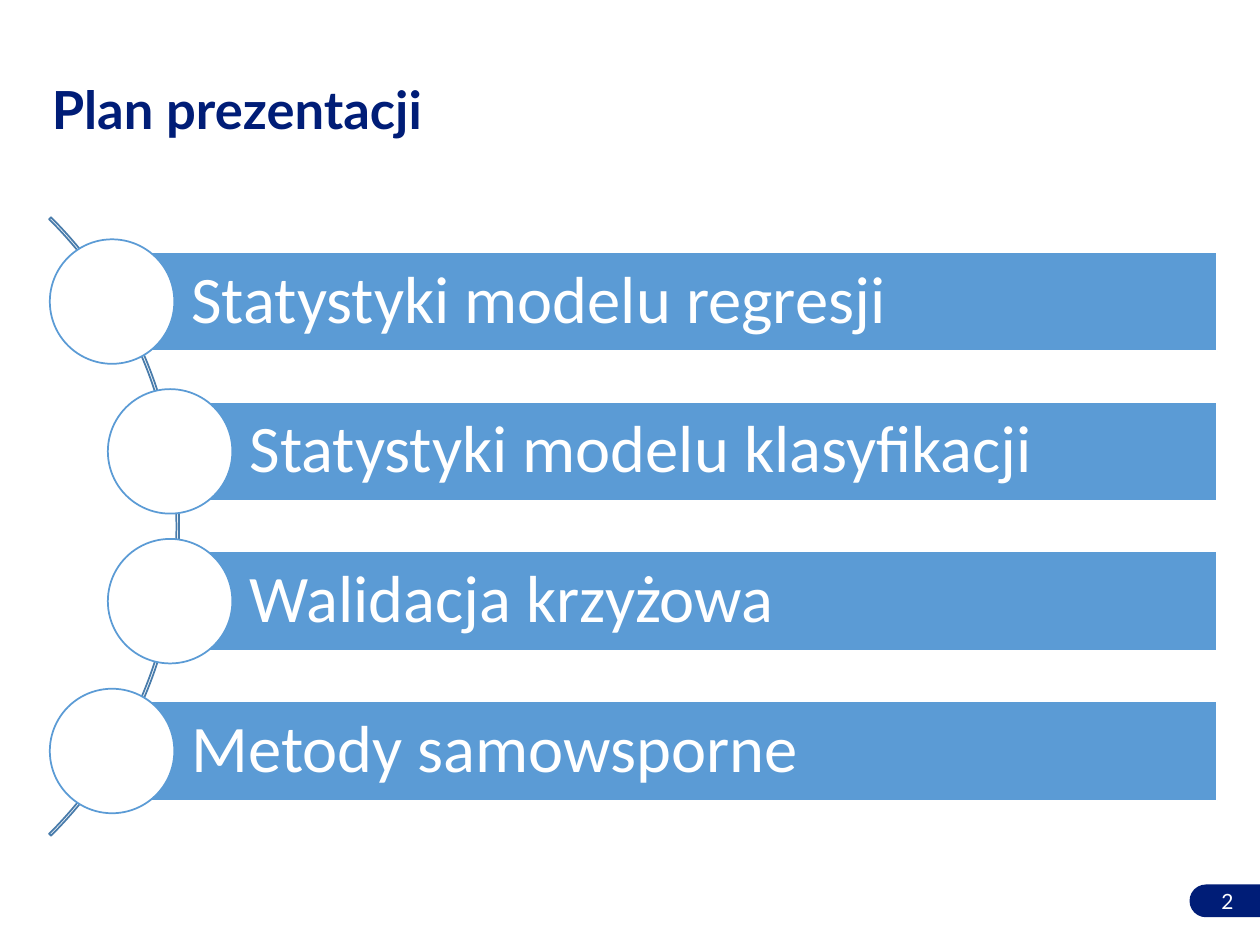
from pptx import Presentation
from pptx.dml.color import RGBColor
from pptx.enum.shapes import MSO_SHAPE as Shape
from pptx.enum.text import MSO_ANCHOR as Anchor, MSO_AUTO_SIZE as AutoSize, PP_ALIGN as Align
from pptx.util import Cm, Pt

COLORS = {"navy": "001D77", "blue": "5B9BD5", "arc": "497CAB", "white": "FFFFFF"}
TOPICS = [
    ("Statystyki modelu regresji", 2.26),
    ("Statystyki modelu klasyfikacji", 3.43),
    ("Walidacja krzyżowa", 3.43),
    ("Metody samowsporne", 2.26),
]
BAR_TOP, BAR_HEIGHT, BAR_RIGHT, BAR_STEP = 5.08, 2.0, 24.54, 3.02
CIRCLE_SIZE = 2.51


class PlanSlide:
    heading_font = "Lato"
    topic_font = "Calibri"

    def __init__(self, deck):
        self.slide = deck.slides.add_slide(deck.slide_layouts[5])

    def color(self, name):
        return RGBColor.from_string(COLORS[name])

    def set_text(self, frame, text, font, size, color, align=Align.LEFT, bold=False, spacing=0.9):
        frame.text = text
        frame.word_wrap = True
        frame.auto_size = AutoSize.NONE
        frame.vertical_anchor = Anchor.MIDDLE
        paragraph = frame.paragraphs[0]
        paragraph.alignment = align
        paragraph.line_spacing = spacing
        run_font = paragraph.runs[0].font
        run_font.name, run_font.size, run_font.bold = font, Pt(size), bold
        run_font.color.rgb = self.color(color)

    def shape(self, kind, left, top, width, height, fill=None, line=None):
        figure = self.slide.shapes.add_shape(kind, Cm(left), Cm(top), Cm(width), Cm(height))
        figure.shadow.inherit = False
        if fill:
            figure.fill.solid()
            figure.fill.fore_color.rgb = self.color(fill)
        else:
            figure.fill.background()
        if line:
            figure.line.color.rgb = self.color(line)
            figure.line.width = Pt(1)
        else:
            figure.line.fill.background()
        return figure

    def title(self, text):
        heading = self.slide.shapes.title
        heading.left, heading.top = Cm(0.79), Cm(1.02)
        heading.width, heading.height = Cm(23.93), Cm(2.49)
        self.set_text(heading.text_frame, text, self.heading_font, 30, "navy", bold=True)

    def page_number(self, number):
        tab = self.shape(Shape.ROUND_2_SAME_RECTANGLE, 24.36, 17.45, 0.66, 1.42, "navy")
        tab.adjustments[0] = 0.5
        tab.rotation = 270
        label = self.slide.shapes.add_textbox(Cm(17.93), Cm(17.65), Cm(7.19), Cm(1.02))
        self.set_text(label.text_frame, number, self.heading_font, 12, "white", Align.RIGHT, spacing=1.0)

    def arc(self):
        curve = self.shape(Shape.BLOCK_ARC, -14.02, 1.8, 17.63, 17.63, line="arc")
        for index, value in enumerate((189, 27, 0.003)):
            curve.adjustments[index] = value

    def topic(self, text, left, top):
        bar = self.shape(Shape.RECTANGLE, left, top, BAR_RIGHT - left, BAR_HEIGHT, "blue", "white")
        frame = bar.text_frame
        frame.margin_left = Cm(1.6)
        frame.margin_top = frame.margin_right = frame.margin_bottom = Cm(0.28)
        self.set_text(frame, text, self.topic_font, 38, "white")
        radius = CIRCLE_SIZE / 2
        self.shape(Shape.OVAL, left - radius, top + BAR_HEIGHT / 2 - radius,
                   CIRCLE_SIZE, CIRCLE_SIZE, "white", "blue")


def main():
    deck = Presentation()
    deck.slide_width, deck.slide_height = Cm(25.4), Cm(19.05)
    plan = PlanSlide(deck)
    plan.title("Plan prezentacji")
    plan.page_number("2")
    plan.arc()
    for row, (text, left) in enumerate(TOPICS):
        plan.topic(text, left, BAR_TOP + row * BAR_STEP)
    deck.save("out.pptx")


if __name__ == "__main__":
    main()
